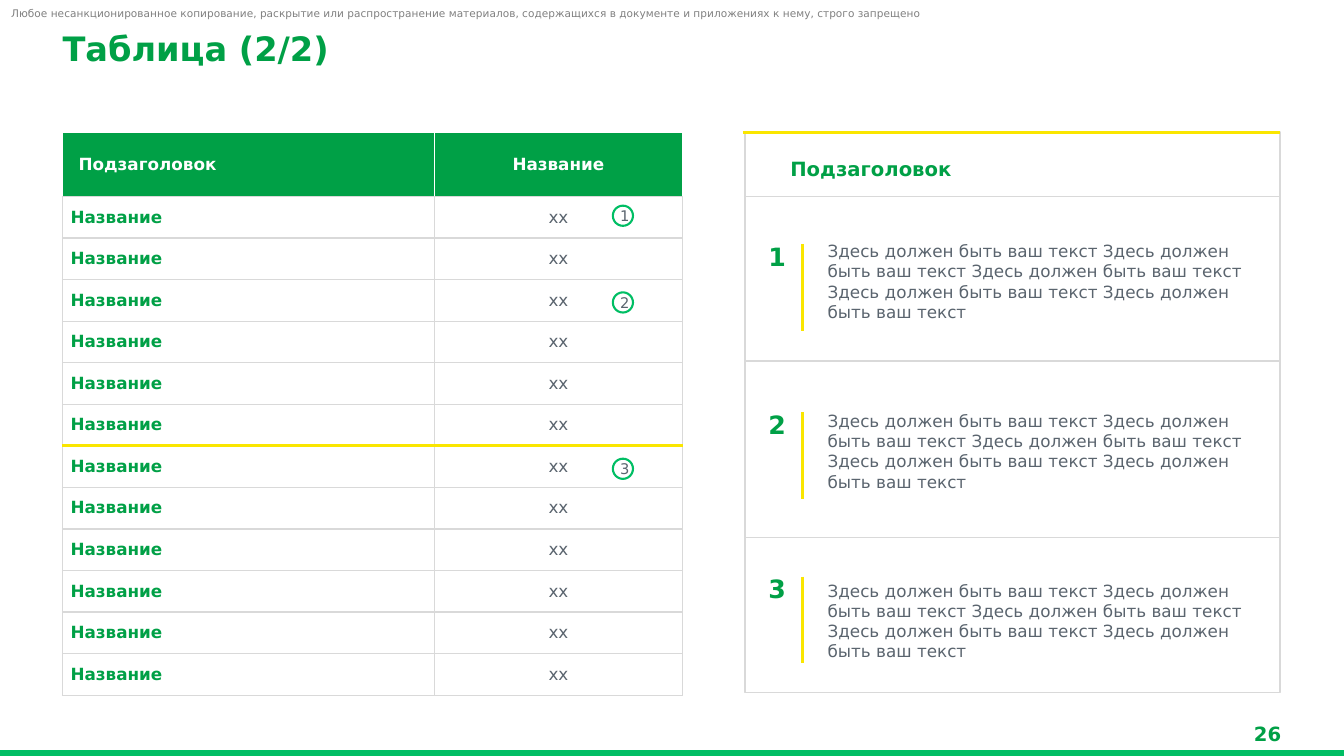
from dataclasses import dataclass

from lxml import etree
from pptx import Presentation
from pptx.dml.color import RGBColor
from pptx.enum.shapes import MSO_CONNECTOR, MSO_SHAPE
from pptx.enum.text import MSO_ANCHOR, MSO_AUTO_SIZE, PP_ALIGN
from pptx.oxml.ns import qn
from pptx.shapes.autoshape import Shape
from pptx.slide import Slide
from pptx.table import _Cell
from pptx.text.text import TextFrame
from pptx.util import Inches, Length, Pt

LEFT, CENTER, RIGHT = PP_ALIGN.LEFT, PP_ALIGN.CENTER, PP_ALIGN.RIGHT
TOP, MIDDLE, BOTTOM = MSO_ANCHOR.TOP, MSO_ANCHOR.MIDDLE, MSO_ANCHOR.BOTTOM
RECTANGLE, OVAL = MSO_SHAPE.RECTANGLE, MSO_SHAPE.OVAL
STRAIGHT = MSO_CONNECTOR.STRAIGHT
GROW = MSO_AUTO_SIZE.SHAPE_TO_FIT_TEXT
TITLE_ONLY = 5
WIDTH, HEIGHT = Inches(13.333), Inches(7.5)


@dataclass(frozen=True)
class Theme:
    font: str = "DejaVu Sans"
    green: str = "00A046"
    bright: str = "00BE64"
    yellow: str = "FAE600"
    gray: str = "D9D9D9"
    text: str = "5A646E"
    muted: str = "808080"
    white: str = "FFFFFF"
    title_size: float = 24
    number_size: float = 18
    heading_size: float = 14
    body_size: float = 12
    badge_size: float = 10.5
    notice_size: float = 7.5
    thin: float = 1
    ring: float = 1.5
    thick: float = 2.25


THEME = Theme()


@dataclass(frozen=True)
class Area:
    """A rectangle in percent of the slide's width and height."""
    left: float
    top: float
    width: float
    height: float


@dataclass(frozen=True)
class Style:
    size: float
    color: str
    bold: bool = False
    align: PP_ALIGN = LEFT
    anchor: MSO_ANCHOR = TOP


@dataclass(frozen=True)
class Label:
    text: str
    area: Area
    style: Style


@dataclass(frozen=True)
class Rule:
    """A straight line between two points in percent."""
    x1: float
    y1: float
    x2: float
    y2: float
    color: str
    weight: float


@dataclass(frozen=True)
class Border:
    side: str
    color: str
    weight: float


HEADING = Style(THEME.heading_size, THEME.green, True, anchor=BOTTOM)
PAGE_NUMBER = Style(THEME.heading_size, THEME.green, True, RIGHT, MIDDLE)
TITLE = Style(THEME.title_size, THEME.green, True)
NOTICE = Style(THEME.notice_size, THEME.muted, anchor=BOTTOM)
NOTE_NUMBER = Style(THEME.number_size, THEME.green, True, CENTER)
NOTE_TEXT = Style(THEME.body_size, THEME.text)
BADGE = Style(THEME.badge_size, THEME.text, align=CENTER, anchor=MIDDLE)
HEAD_CELLS = [Style(THEME.body_size, THEME.white, True, align, MIDDLE) for align in (LEFT, CENTER)]
BODY_CELLS = [Style(THEME.body_size, THEME.green, True, LEFT, MIDDLE),
              Style(THEME.body_size, THEME.text, False, CENTER, MIDDLE)]

LEFT_EDGE, CONTENT_TOP = 4.65, 17.47
COLUMN_WIDTHS = (27.68, 18.45)
HEAD_HEIGHT, ROW_HEIGHT, ROW_COUNT = 8.53, 5.5, 12
ACCENT_ROW = 6  # the yellow line runs under this row
BADGE_TOPS = (27.2, 38.67, 60.67)
CARD = Area(55.43, CONTENT_TOP, 39.82, 74.13)
CARD_RIGHT = CARD.left + CARD.width
NUMBER_TOPS = (31.87, 54.13, 75.87)
NOTE_TOP, NOTE_STEP = 31.87, 22.47
NOTE = " ".join(["Здесь должен быть ваш текст"] * 5)

LABELS = [
    Label("Любое несанкционированное копирование, раскрытие или распространение материалов, "
          "содержащихся в документе и приложениях к нему, строго запрещено",
          Area(0.83, 0.93, 86.1, 1.73), NOTICE),
    Label("26", Area(91.05, 95.47, 4.28, 3.2), PAGE_NUMBER),
    Label("Подзаголовок", Area(58.8, 20.67, 34.28, 3.2), HEADING),
]
CARD_RULES = [
    Rule(55.28, CONTENT_TOP, CARD_RIGHT, CONTENT_TOP, THEME.yellow, THEME.thick),
    *(Rule(CARD.left, y, CARD_RIGHT, y, THEME.gray, THEME.thin) for y in (26, 47.73, 71.07)),
]


def across(share: float) -> Length:
    return Length(round(WIDTH * share / 100))


def down(share: float) -> Length:
    return Length(round(HEIGHT * share / 100))


def bounds(area: Area) -> tuple[Length, Length, Length, Length]:
    return across(area.left), down(area.top), across(area.width), down(area.height)


def write(frame: TextFrame, text: str, style: Style) -> None:
    para = frame.paragraphs[0]
    para.alignment = style.align
    span = para.add_run()
    span.text = text
    span.font.name, span.font.size, span.font.bold = THEME.font, Pt(style.size), style.bold
    span.font.color.rgb = RGBColor.from_string(style.color)


def fill_box(box: Shape, text: str, style: Style) -> None:
    """Write into a box without insets that grows with its text."""
    frame = box.text_frame
    frame.margin_left = frame.margin_right = frame.margin_top = frame.margin_bottom = 0
    frame.word_wrap, frame.auto_size, frame.vertical_anchor = True, GROW, style.anchor
    write(frame, text, style)


def add_label(page: Slide, label: Label) -> None:
    fill_box(page.shapes.add_textbox(*bounds(label.area)), label.text, label.style)


def add_panel(page: Slide, kind: MSO_SHAPE, area: Area, fill: str | None,
              color: str, weight: float) -> Shape:
    panel = page.shapes.add_shape(kind, *bounds(area))
    panel.shadow.inherit = False
    if fill:
        panel.fill.solid()
        panel.fill.fore_color.rgb = RGBColor.from_string(fill)
    else:
        panel.fill.background()
    panel.line.color.rgb = RGBColor.from_string(color)
    panel.line.width = Pt(weight)
    return panel


def add_rule(page: Slide, rule: Rule) -> None:
    line = page.shapes.add_connector(STRAIGHT, across(rule.x1), down(rule.y1),
                                     across(rule.x2), down(rule.y2))
    line.line.color.rgb = RGBColor.from_string(rule.color)
    line.line.width = Pt(rule.weight)
    etree.SubElement(line._element.spPr, qn("a:effectLst"))


def cell_borders(row: int) -> list[Border]:
    side_color = THEME.gray if row else THEME.white
    borders = [Border(side, side_color, THEME.thin) for side in "LR"]
    for side, accent in (("T", ACCENT_ROW + 1), ("B", ACCENT_ROW)):
        if row == accent:
            borders.append(Border(side, THEME.yellow, THEME.thick))
        elif row or side == "B":
            borders.append(Border(side, THEME.gray, THEME.thin))
    return borders


def format_cell(cell: _Cell, row: int, column: int) -> None:
    properties = cell._tc.get_or_add_tcPr()
    for border in cell_borders(row):
        line = etree.SubElement(properties, qn(f"a:ln{border.side}"), w=str(Pt(border.weight)))
        paint = etree.SubElement(line, qn("a:solidFill"))
        etree.SubElement(paint, qn("a:srgbClr"), val=border.color)
    cell.fill.solid()
    cell.fill.fore_color.rgb = RGBColor.from_string(THEME.white if row else THEME.green)
    cell.vertical_anchor = MIDDLE
    cell.margin_left = across(0.6 if row or column else 1.2)
    cell.margin_right = across(0.6 if column else 0.9)
    cell.margin_top = cell.margin_bottom = down(1.07)


def add_names_table(page: Slide) -> None:
    rows = [("Подзаголовок", "Название")] + [("Название", "хх")] * ROW_COUNT
    area = Area(LEFT_EDGE, CONTENT_TOP, sum(COLUMN_WIDTHS), HEAD_HEIGHT + ROW_COUNT * ROW_HEIGHT)
    table = page.shapes.add_table(len(rows), len(COLUMN_WIDTHS), *bounds(area)).table
    table.first_row = table.horz_banding = False
    for column, width in enumerate(COLUMN_WIDTHS):
        table.columns[column].width = across(width)
    for row, texts in enumerate(rows):
        table.rows[row].height = down(ROW_HEIGHT if row else HEAD_HEIGHT)
        for column, text in enumerate(texts):
            cell = table.cell(row, column)
            format_cell(cell, row, column)
            write(cell.text_frame, text, (BODY_CELLS if row else HEAD_CELLS)[column])


def add_badge(page: Slide, number: int, top: float) -> None:
    badge = add_panel(page, OVAL, Area(45.6, top, 1.5, 2.67), THEME.white, THEME.bright, THEME.ring)
    badge.text_frame.vertical_anchor = MIDDLE
    write(badge.text_frame, str(number), BADGE)


def add_note(page: Slide, number: int, number_top: float) -> None:
    add_label(page, Label(str(number), Area(56.18, number_top, 3.3, 4), NOTE_NUMBER))
    rule_top = number_top + 0.4
    add_rule(page, Rule(59.7, rule_top, 59.7, rule_top + 11.47, THEME.yellow, THEME.thick))
    text_top = NOTE_TOP + (number - 1) * NOTE_STEP
    add_label(page, Label(NOTE, Area(61.58, text_top, 31.43, 10.8), NOTE_TEXT))


def main() -> None:
    deck = Presentation()
    deck.slide_width, deck.slide_height = WIDTH, HEIGHT
    page = deck.slides.add_slide(deck.slide_layouts[TITLE_ONLY])
    title = page.shapes.title
    title.left, title.top, title.width, title.height = bounds(Area(LEFT_EDGE, 3.73, 81.53, 4.93))
    fill_box(title, "Таблица (2/2)", TITLE)
    add_panel(page, RECTANGLE, Area(0, 99.33, 100, 0.67), THEME.bright, THEME.bright, THEME.thin)
    for label in LABELS:
        add_label(page, label)
    add_names_table(page)
    for number, top in enumerate(BADGE_TOPS, 1):
        add_badge(page, number, top)
    for number, top in enumerate(NUMBER_TOPS, 1):
        add_note(page, number, top)
    add_panel(page, RECTANGLE, CARD, None, THEME.gray, THEME.thin)
    for rule in CARD_RULES:
        add_rule(page, rule)
    deck.save("out.pptx")


if __name__ == "__main__":
    main()
